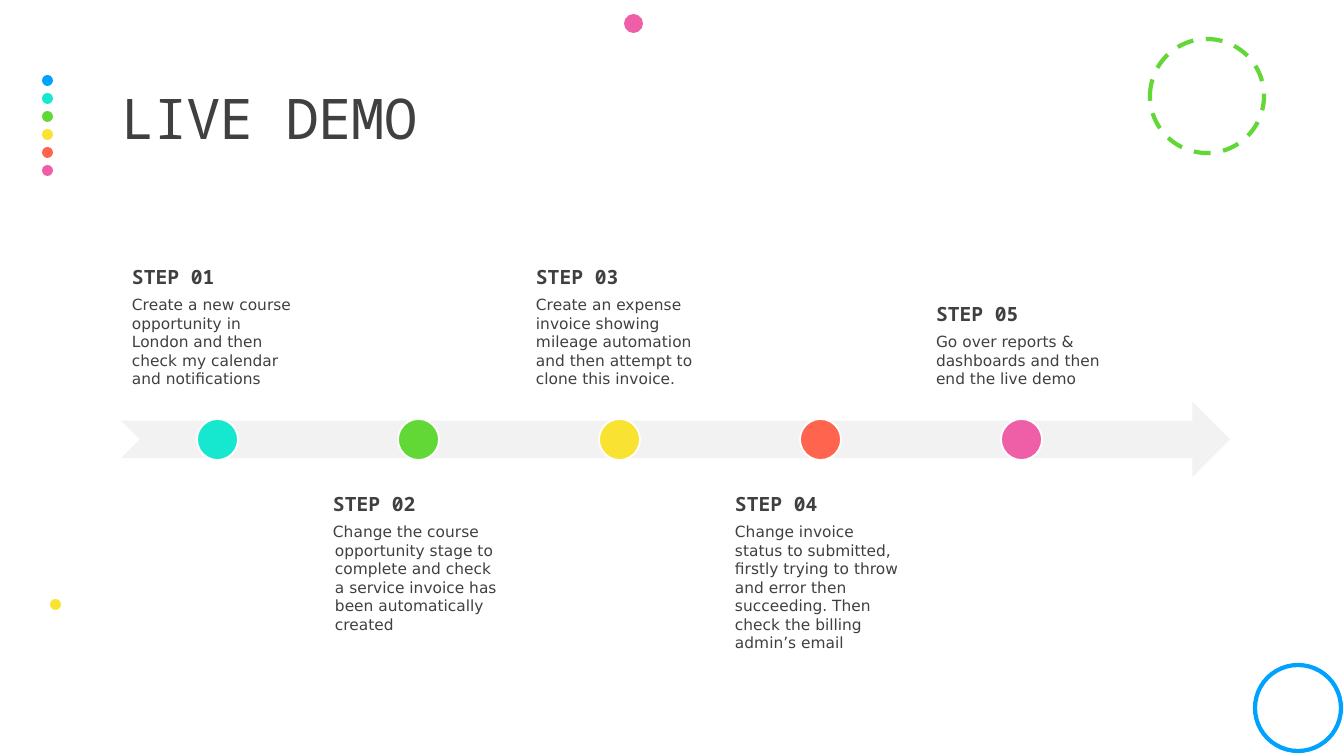
from pptx import Presentation
from pptx.dml.color import RGBColor
from pptx.enum import dml, shapes, text
from pptx.util import Emu, Pt

BLUE = RGBColor(0x00, 0xA2, 0xFF)
TEAL = RGBColor(0x16, 0xE7, 0xCF)
GREEN = RGBColor(0x61, 0xD8, 0x36)
YELLOW = RGBColor(0xFA, 0xE2, 0x32)
CORAL = RGBColor(0xFF, 0x64, 0x4E)
PINK = RGBColor(0xEF, 0x5F, 0xA7)
WHITE = RGBColor(0xFF, 0xFF, 0xFF)
PALE = RGBColor(0xF2, 0xF2, 0xF2)
INK = RGBColor(0x40, 0x40, 0x40)

HEADING = {"name": "Noto Sans Mono", "size": Pt(14), "bold": True}
BODY = {"name": "DejaVu Sans", "size": Pt(11), "bold": False}
TITLE = {"name": "Noto Sans Mono", "size": Pt(40), "bold": False}

# Colour, text, left margin and first-line indent in px
STEPS = [
    (TEAL, "Create a new course opportunity in London and then check my calendar "
           "and notifications", 0, 0),
    (GREEN, "Change the course opportunity stage to complete and check a service "
            "invoice has been automatically created", 2, -2),
    (YELLOW, "Create an expense invoice showing mileage automation and then attempt "
             "to clone this invoice.", 2, 0),
    (CORAL, "Change invoice status to submitted, firstly trying to throw and error "
            "then succeeding. Then check the billing admin’s email", 0, 0),
    (PINK, "Go over reports & dashboards and then end the live demo", 0, 0),
]
STEP_PITCH = 201
DOT_PITCH = 18


def px(length):
    return Emu(round(length * 914400 / 100.8))


def apply(target, values):
    for name, value in values.items():
        setattr(target, name, value)


class SlideBuilder:
    def __init__(self, deck):
        self.page = deck.slides.add_slide(deck.slide_layouts[5])

    def title(self, words, left, top, width, height):
        box = self.page.shapes.title
        apply(box, {"left": px(left), "top": px(top),
                    "width": px(width), "height": px(height)})
        frame = box.text_frame
        apply(frame, {"margin_left": 0, "margin_right": 0, "word_wrap": True,
                      "auto_size": text.MSO_AUTO_SIZE.NONE,
                      "vertical_anchor": text.MSO_ANCHOR.MIDDLE})
        para = frame.paragraphs[0]
        apply(para, {"alignment": text.PP_ALIGN.LEFT, "line_spacing": 0.9})
        span = self.span(para, words, TITLE)
        span.font._element.set("spc", "-50")

    def span(self, para, words, style):
        span = para.add_run()
        span.text = words
        apply(span.font, style)
        span.font.color.rgb = INK
        return span

    def shape(self, kind, left, top, width, height, fill=None, line=None,
              weight=3, dash=None):
        shape = self.page.shapes.add_shape(
            kind, px(left), px(top), px(width), px(height))
        shape.shadow.inherit = False
        if fill is None:
            shape.fill.background()
        else:
            shape.fill.solid()
            shape.fill.fore_color.rgb = fill
        if line is None:
            shape.line.fill.background()
        else:
            shape.line.color.rgb = line
            shape.line.width = Pt(weight)
            shape.line.dash_style = dash

    def circle(self, left, top, size, **look):
        self.shape(shapes.MSO_SHAPE.OVAL, left, top, size, size, **look)

    def step_text(self, left, top, heading, body, anchor, margin, indent):
        box = self.page.shapes.add_textbox(px(left), px(top), px(191), px(166))
        frame = box.text_frame
        apply(frame, {"word_wrap": True, "vertical_anchor": anchor})
        apply(frame, {f"margin_{side}": px(11)
                      for side in ("left", "right", "top", "bottom")})
        for para, words, style, gap in (
                (frame.paragraphs[0], heading, HEADING, 5),
                (frame.add_paragraph(), body, BODY, 0)):
            para.space_after = Pt(gap)
            properties = para._p.get_or_add_pPr()
            properties.set("marL", str(px(margin)))
            properties.set("indent", str(px(indent)))
            self.span(para, words, style)


def main():
    deck = Presentation()
    deck.slide_width, deck.slide_height = px(1344), px(756)
    slide = SlideBuilder(deck)

    for row, colour in enumerate((BLUE, TEAL, GREEN, YELLOW, CORAL, PINK)):
        slide.circle(42, 75 + row * DOT_PITCH, 11, fill=colour)
    slide.circle(1150, 39, 114, line=GREEN, dash=dml.MSO_LINE.DASH)
    slide.circle(624, 14, 19, fill=PINK)
    slide.circle(50, 599, 11, fill=YELLOW)
    slide.circle(1255, 665, 86, line=BLUE)

    slide.title("LIVE DEMO", 121, 46, 1109, 151)
    slide.shape(shapes.MSO_SHAPE.NOTCHED_RIGHT_ARROW, 121, 402, 1109, 75, fill=PALE)
    for index, (colour, body, margin, indent) in enumerate(STEPS):
        offset = index * STEP_PITCH
        above = index % 2 == 0
        slide.step_text(
            121 + offset, 233 if above else 481, f"STEP {index + 1:02}", body,
            text.MSO_ANCHOR.BOTTOM if above else text.MSO_ANCHOR.TOP, margin, indent)
        slide.circle(197 + offset, 419, 41, fill=colour, line=WHITE, weight=1.25)

    deck.save("out.pptx")


if __name__ == "__main__":
    main()
